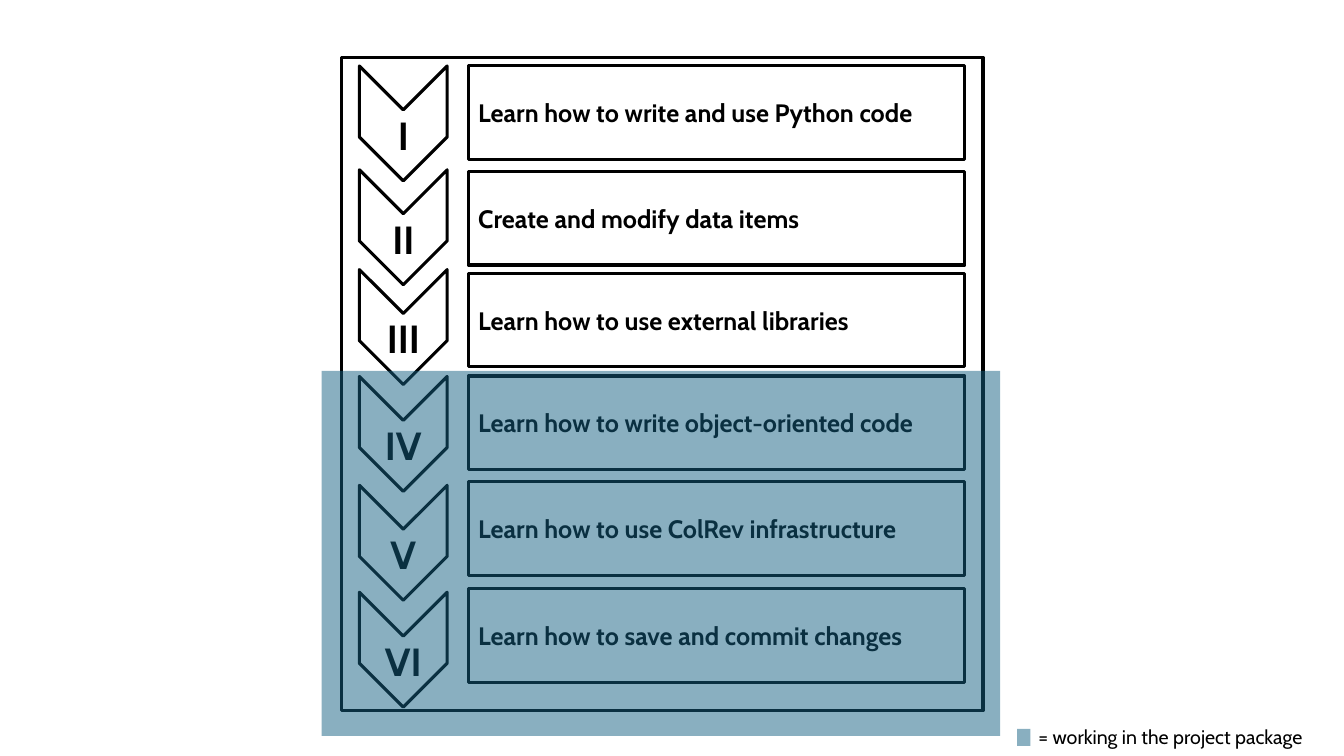
from dataclasses import dataclass

from lxml.etree import SubElement
from pptx import Presentation
from pptx.dml.color import RGBColor
from pptx.enum.shapes import MSO_SHAPE
from pptx.enum.text import MSO_ANCHOR, PP_ALIGN
from pptx.oxml.ns import qn
from pptx.util import Inches, Pt

COLORS = {"ink": "000000", "package": "156082"}
FONT = "Cabin"
STEPS = [
    ("I", "Learn how to write and use Python code", 1.31, 1.23),
    ("II", "Create and modify data items", 17.21, 17.44),
    ("III", "Learn how to use external libraries", 32.48, 33.02),
    ("IV", "Learn how to write object-oriented code", 48.84, 48.77),
    ("V", "Learn how to use ColRev infrastructure", 65.51, 64.97),
    ("VI", "Learn how to save and commit changes", 81.87, 81.33),
]


@dataclass
class Box:
    """A rectangle on the slide, in EMU."""
    left: int
    top: int
    width: int
    height: int

    def inner(self, left, top, width, height):
        """Return an inner box given in percent of this one."""
        return Box(
            round(self.left + self.width * left / 100),
            round(self.top + self.height * top / 100),
            round(self.width * width / 100),
            round(self.height * height / 100),
        )

    def turned(self):
        """Return the box with its sides swapped about the same centre."""
        shift = (self.width - self.height) // 2
        return Box(self.left + shift, self.top - shift, self.height, self.width)

    def bounds(self):
        """Return left, top, width and height."""
        return self.left, self.top, self.width, self.height


def add_outline(slide, kind, box):
    """Add an unfilled shape with a thick dark line."""
    shape = slide.shapes.add_shape(kind, *box.bounds())
    shape.shadow.inherit = False
    shape.fill.background()
    shape.line.color.rgb = RGBColor.from_string(COLORS["ink"])
    shape.line.width = Pt(2.25)
    return shape


def add_tint(slide, box):
    """Add a half-transparent rectangle marking the project package."""
    shape = slide.shapes.add_shape(MSO_SHAPE.RECTANGLE, *box.bounds())
    shape.shadow.inherit = False
    shape.line.fill.background()
    shape.fill.solid()
    shape.fill.fore_color.rgb = RGBColor.from_string(COLORS["package"])
    color = shape.element.spPr.find(qn("a:solidFill"))[0]
    SubElement(color, qn("a:alpha"), val="50000")


def write(shape, text, size, bold=True, alignment=PP_ALIGN.LEFT):
    """Set and format the one line of text in a shape."""
    frame = shape.text_frame
    frame.word_wrap = True
    frame.text = text
    paragraph = frame.paragraphs[0]
    paragraph.alignment = alignment
    font = paragraph.runs[0].font
    font.name, font.size, font.bold = FONT, Pt(size), bold
    font.color.rgb = RGBColor.from_string(COLORS["ink"])


def add_step(slide, chevron_box, label_box, numeral, label):
    """Draw one step: a downward chevron, its numeral and its label."""
    chevron = add_outline(slide, MSO_SHAPE.CHEVRON, chevron_box.turned())
    chevron.rotation = 90
    rectangle = add_outline(slide, MSO_SHAPE.RECTANGLE, label_box)
    rectangle.text_frame.vertical_anchor = MSO_ANCHOR.MIDDLE
    write(rectangle, label, 18)
    numeral_box = chevron_box.inner(13, 35, 74, 50)
    write(slide.shapes.add_textbox(*numeral_box.bounds()), numeral, 28,
          alignment=PP_ALIGN.CENTER)


def add_steps(slide, box):
    """Draw the frame and all steps inside it."""
    add_outline(slide, MSO_SHAPE.RECTANGLE, box)
    for numeral, label, chevron_top, label_top in STEPS:
        add_step(slide, box.inner(2.75, chevron_top, 13.68, 17.59),
                 box.inner(19.73, label_top, 77.44, 14.35), numeral, label)


def add_legend(slide, box):
    """Draw the colour key and its explanation."""
    add_tint(slide, box.inner(0, 26.5, 4.33, 50))
    text_box = slide.shapes.add_textbox(*box.inner(3.67, 0, 96.33, 100).bounds())
    write(text_box, "= working in the project package", 14, bold=False)


def main():
    """Build and save the presentation."""
    presentation = Presentation()
    presentation.slide_width = Inches(13.33)
    presentation.slide_height = Inches(7.5)
    slide = presentation.slides.add_slide(presentation.slide_layouts[6])
    page = Box(0, 0, presentation.slide_width, presentation.slide_height)
    add_steps(slide, page.inner(25.43, 7.6, 47.71, 86.4))
    add_tint(slide, page.inner(23.93, 49.07, 50.49, 48.27))
    add_legend(slide, page.inner(75.69, 95.2, 22.51, 4.53))
    presentation.save("out.pptx")


if __name__ == "__main__":
    main()
